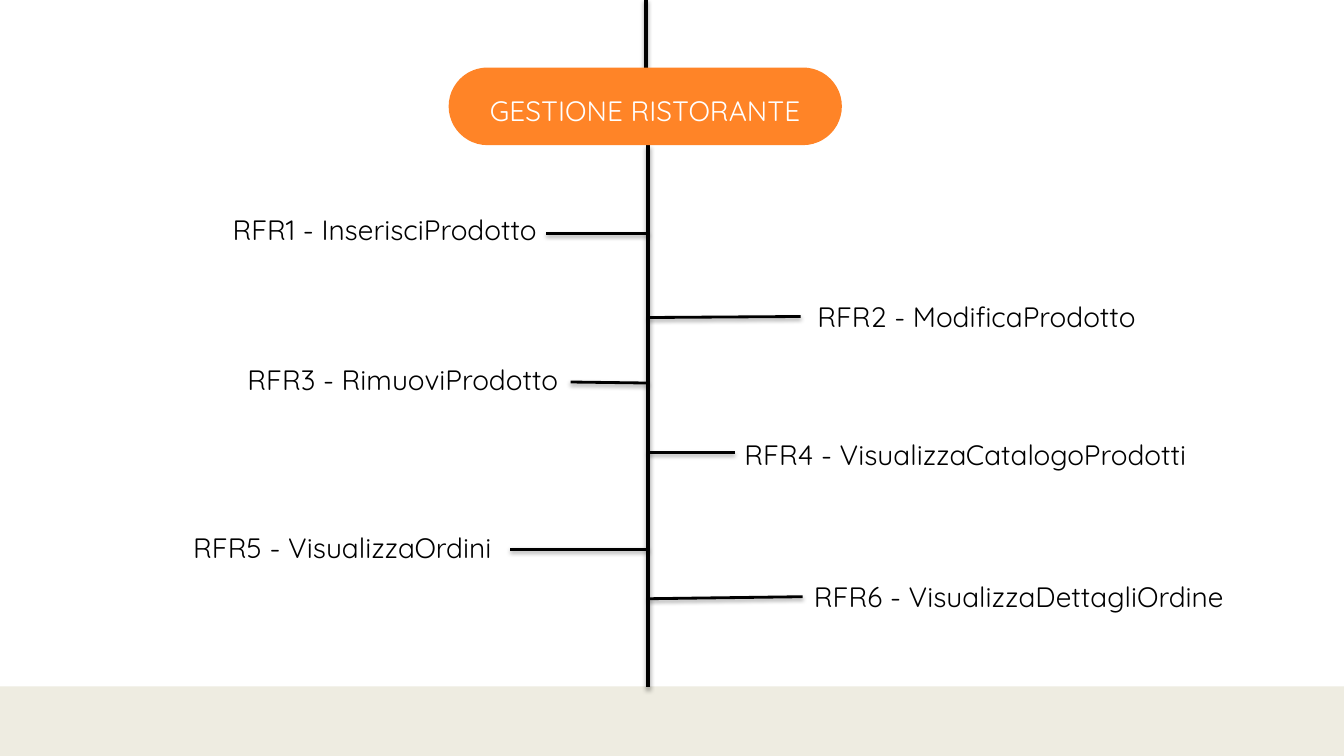
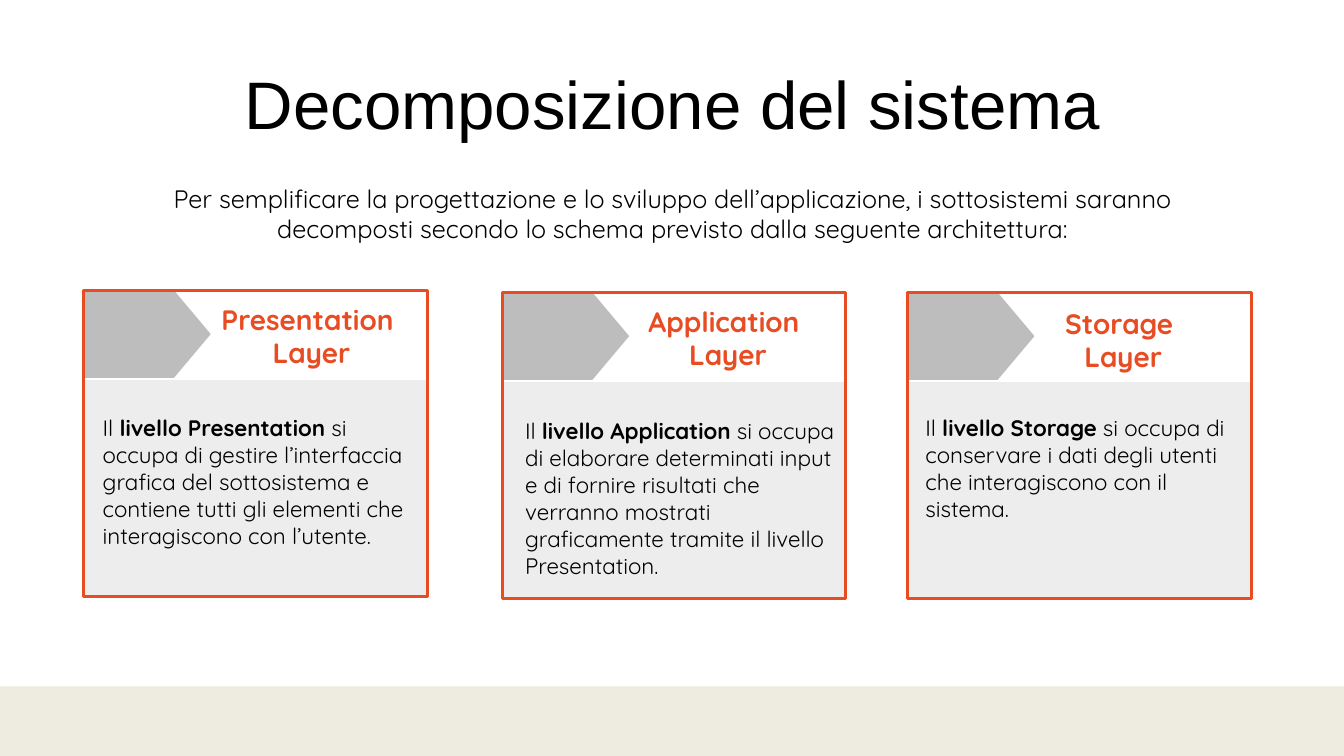
from lxml.etree import SubElement
from pptx import Presentation
from pptx.dml.color import RGBColor
from pptx.enum.shapes import MSO_CONNECTOR, MSO_SHAPE
from pptx.enum.text import MSO_ANCHOR, PP_ALIGN
from pptx.oxml.ns import qn
from pptx.util import Inches, Pt

BLACK = RGBColor(0, 0, 0)
WHITE = RGBColor(0xFF, 0xFF, 0xFF)
SAND = RGBColor(0xEE, 0xEC, 0xE1)
ORANGE = RGBColor(0xFF, 0x84, 0x27)
RED = RGBColor(0xE8, 0x4C, 0x22)
GREY = RGBColor(0x80, 0x80, 0x80)
DARK = RGBColor(0x40, 0x40, 0x40)
FONT = "Quicksand"
WIDTH, HEIGHT = 13.33, 7.5
BAND = 6.81

HEADING = "GESTIONE RISTORANTE"
LABEL = (4.79, 1.23)
# (text, label left, label top)
LABELS = [
    ("RFR1 - InserisciProdotto", 1.42, 1.66),
    ("RFR2 - ModificaProdotto", 7.29, 2.52),
    ("RFR3 - RimuoviProdotto", 1.6, 3.15),
    ("RFR4 - VisualizzaCatalogoProdotti", 7.18, 3.89),
    ("RFR5 - VisualizzaOrdini", 1, 4.81),
    ("RFR6 - VisualizzaDettagliOrdine", 7.71, 5.3),
]
TRUNK = 6.43
# (outer end x, outer end y, y on the trunk)
BRANCHES = [
    (5.42, 2.32, 2.32), (7.94, 3.14, 3.15), (5.66, 3.79, 3.8),
    (7.29, 4.49, 4.49), (5.06, 5.45, 5.45), (7.96, 5.92, 5.94),
]

TITLE = "Decomposizione del sistema"
INTRO = ("Per semplificare la progettazione e lo sviluppo dell’applicazione, "
         "i sottosistemi saranno decomposti secondo lo schema previsto dalla "
         "seguente architettura:")
# name, card corner, heading corner, body corner and width, description
CARDS = [
    ("Presentation", (0.83, 2.88), (1.81, 2.95), (0.92, 4.01, 3.31),
     " si occupa di gestire l’interfaccia grafica del sottosistema e contiene "
     "tutti gli elementi che interagiscono con l’utente."),
    ("Application", (4.98, 2.9), (5.94, 2.97), (5.11, 4.04, 3.29),
     " si occupa di elaborare determinati input e di fornire risultati che "
     "verranno mostrati graficamente tramite il livello Presentation."),
    ("Storage", (9, 2.9), (9.86, 2.99), (9.08, 4.01, 3.42),
     " si occupa di conservare i dati degli utenti che interagiscono con il "
     "sistema."),
]
CARD_W, CARD_H, HEAD_H = 3.41, 3.04, 0.88


def add_form(slide, kind, box, fill=None, line=None, alpha=None):
    form = slide.shapes.add_shape(kind, *map(Inches, box))
    form.shadow.inherit = False
    if fill is None:
        form.fill.background()
    else:
        form.fill.solid()
        form.fill.fore_color.rgb = fill
    if alpha:
        color = form.fill._xPr.find(qn("a:solidFill"))[0]
        SubElement(color, qn("a:alpha"), val=str(alpha * 1000))
    if line is None:
        form.line.fill.background()
    else:
        form.line.color.rgb = line
        form.line.width = Pt(2)
    return form


def add_line(slide, start, end, width):
    """Draw a black line with a soft shadow below it."""
    line = slide.shapes.add_connector(
        MSO_CONNECTOR.STRAIGHT, *map(Inches, start + end))
    line.line.color.rgb = BLACK
    line.line.width = Pt(width)
    effects = SubElement(line._element.spPr, qn("a:effectLst"))
    shadow = SubElement(effects, qn("a:outerShdw"), blurRad=str(Pt(3.1)),
                        dist=str(Pt(1.7)), dir="5400000", rotWithShape="0")
    color = SubElement(shadow, qn("a:srgbClr"), val=str(BLACK))
    SubElement(color, qn("a:alpha"), val="36000")


def style(para, size, color=BLACK, name=FONT, bold=None, align=PP_ALIGN.CENTER):
    para.alignment = align
    font = para.font
    font.size, font.name, font.bold = Pt(size), name, bold
    font.color.rgb = color


def add_text(slide, box, lines, size, inset=0.05, anchor=MSO_ANCHOR.TOP, **look):
    frame = slide.shapes.add_textbox(*map(Inches, box)).text_frame
    frame.word_wrap = True
    frame.vertical_anchor = anchor
    frame.margin_top = frame.margin_bottom = Inches(inset)
    frame.text = "\n".join(lines)
    for para in frame.paragraphs:
        style(para, size, **look)
    return frame


def add_slide(deck):
    slide = deck.slides.add_slide(deck.slide_layouts[6])
    add_form(slide, MSO_SHAPE.RECTANGLE, (0, BAND, WIDTH, HEIGHT - BAND), SAND)
    return slide


def add_tree(deck):
    slide = add_slide(deck)
    add_line(slide, (6.41, 0), (6.41, 0.68), 3)
    add_line(slide, (TRUNK, 1.44), (TRUNK, 6.82), 3)
    for x, y, root in BRANCHES:
        add_line(slide, (x, y), (TRUNK, root), 2)
    for text, left, top in LABELS:
        add_text(slide, (left, top, *LABEL), [text], 20, 0.1, MSO_ANCHOR.MIDDLE)
    pill = add_form(slide, MSO_SHAPE.ROUNDED_RECTANGLE,
                    (4.45, 0.67, 3.9, 0.77), ORANGE)
    pill.adjustments[0] = 0.5
    frame = pill.text_frame
    frame.vertical_anchor = MSO_ANCHOR.MIDDLE
    frame.margin_top, frame.margin_bottom = Inches(0.13), Inches(0.05)
    frame.text = HEADING
    style(frame.paragraphs[0], 20, WHITE)


def add_card(slide, name, corner, head, body, about):
    left, top = corner
    add_form(slide, MSO_SHAPE.RECTANGLE,
             (left, top + HEAD_H, CARD_W, CARD_H - HEAD_H), GREY, WHITE, 14)
    add_text(slide, (*head, 2.56, 0.77), [name + " ", "Layer"], 20,
             color=RED, bold=True)
    frame = add_text(slide, (*body, 1.9), ["Il "], 16, 0.1, align=PP_ALIGN.LEFT)
    para = frame.paragraphs[0]
    strong = para.add_run()
    strong.text = "livello " + name
    strong.font.bold = True
    para.add_run().text = about
    arrow = add_form(slide, MSO_SHAPE.PENTAGON,
                     (left + 0.01, top, 1.25, 0.87), DARK, alpha=34)
    arrow.adjustments[0] = 0.42
    add_form(slide, MSO_SHAPE.RECTANGLE, (left, top, CARD_W, CARD_H), line=RED)


def add_layers(deck):
    slide = add_slide(deck)
    add_text(slide, (2.09, 0.57, 9.16, 0.91), [TITLE], 48, name="Arial")
    add_text(slide, (1.28, 1.77, 10.78, 0.71), [INTRO], 18)
    for card in CARDS:
        add_card(slide, *card)


def main():
    deck = Presentation()
    deck.slide_width, deck.slide_height = Inches(WIDTH), Inches(HEIGHT)
    add_tree(deck)
    add_layers(deck)
    deck.save("out.pptx")


if __name__ == "__main__":
    main()
